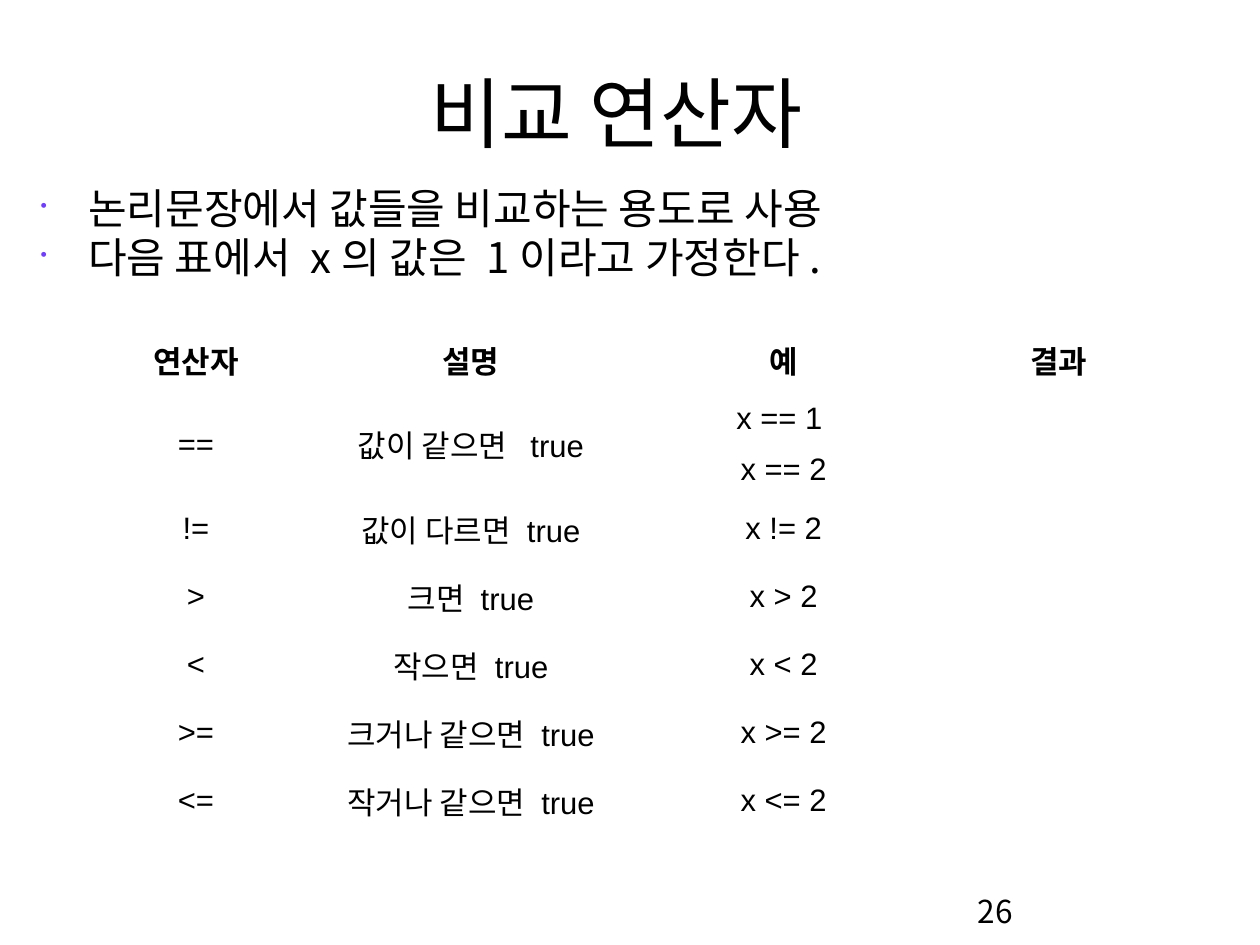
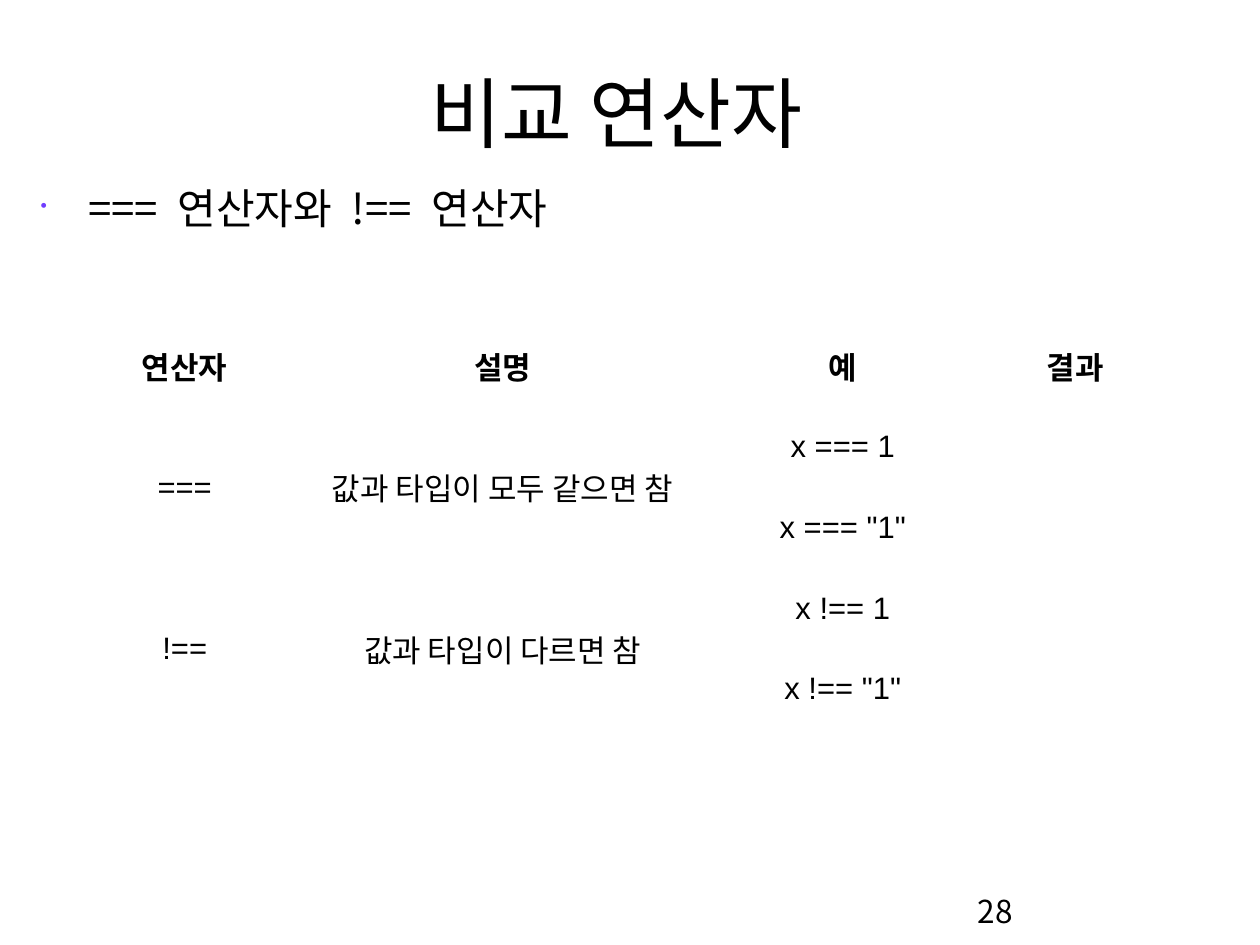
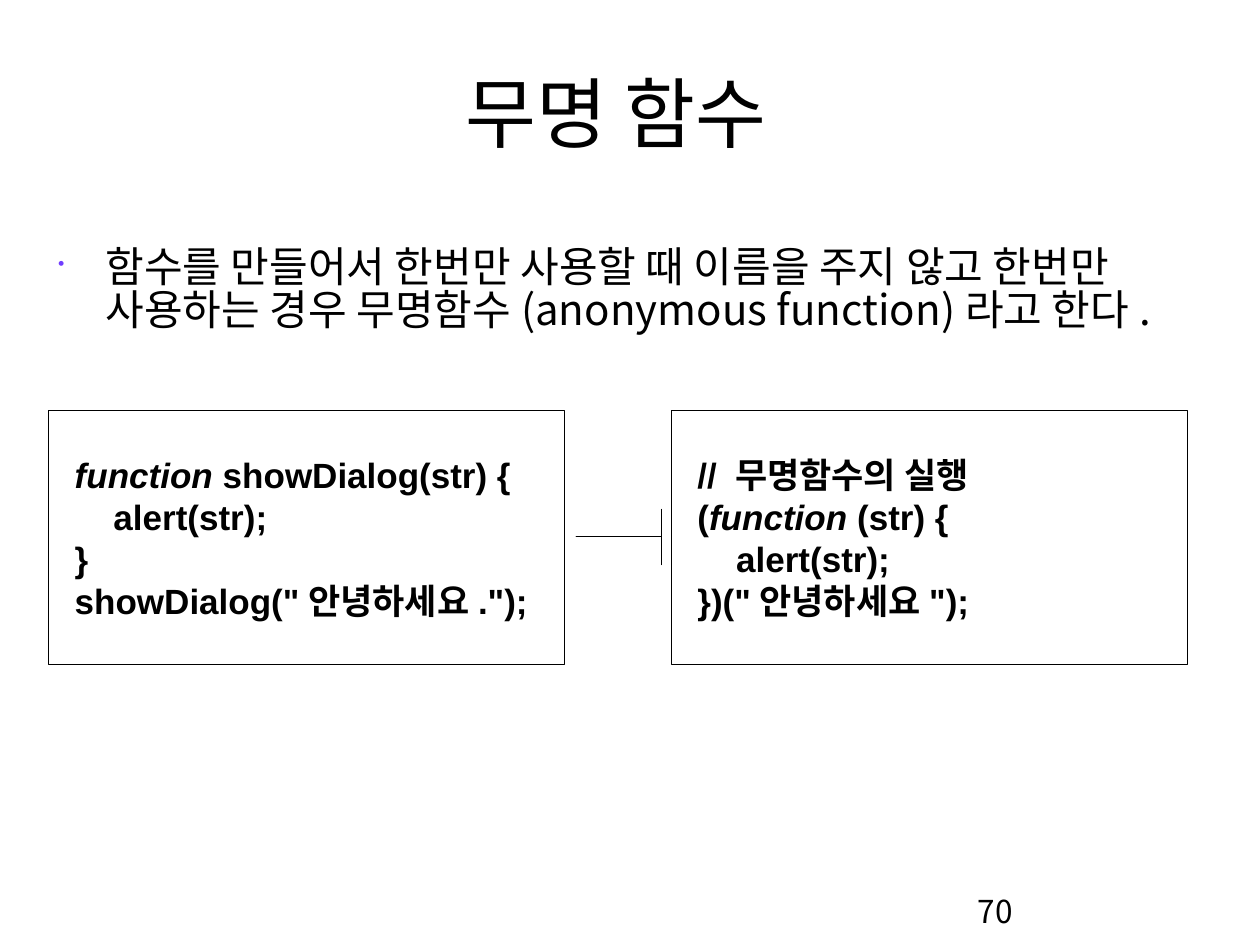
"""Build three slides on comparison operators and anonymous functions."""
from lxml import etree
from pptx import Presentation
from pptx.dml.color import RGBColor
from pptx.enum.shapes import MSO_SHAPE
from pptx.enum.text import MSO_ANCHOR, PP_ALIGN
from pptx.oxml.ns import qn
from pptx.util import Inches, Pt

RECT, ARROW = MSO_SHAPE.RECTANGLE, MSO_SHAPE.RIGHT_ARROW
TOP, MID = MSO_ANCHOR.TOP, MSO_ANCHOR.MIDDLE
LEFT, CENTER = PP_ALIGN.LEFT, PP_ALIGN.CENTER
SANS, LATIN = "Noto Sans CJK KR", "Arial"
BLACK, WHITE, VIOLET, YELLOW = "000000", "FFFFFF", "703DFF", "FFEF66"
ink = RGBColor.from_string

deck = Presentation()
deck.slide_width, deck.slide_height = Inches(12.99), Inches(9.74)


def area(x, y, w, h):
    """Turn percent shares of the slide into left, top, width and height."""
    wide, high = deck.slide_width, deck.slide_height
    return [int(size * part / 100) for size, part in zip((wide, high) * 2, (x, y, w, h))]


def write(frame, lines, size, font=SANS, bold=False, align=LEFT, anchor=TOP,
          pads=(0.1, 0.05), lead=None, gap=0, indent=0, bullet=False, lean=None):
    """Fill a text frame with one paragraph per line."""
    frame.word_wrap, frame.vertical_anchor = True, anchor
    frame.margin_left = frame.margin_right = Inches(pads[0])
    frame.margin_top = frame.margin_bottom = Inches(pads[1])
    for i, line in enumerate(lines):
        para = frame.add_paragraph() if i else frame.paragraphs[0]
        para.alignment, para.line_spacing = align, lead
        para.space_before = Pt(gap if i else 0)
        props = para._p.get_or_add_pPr()
        props.set("marL", str(Inches(indent)))
        if bullet:
            props.set("indent", str(-Inches(indent)))
            tint = etree.SubElement(props, qn("a:buClr"))
            etree.SubElement(tint, qn("a:srgbClr"), val=VIOLET)
            etree.SubElement(props, qn("a:buSzPct"), val="45000")
            etree.SubElement(props, qn("a:buChar"), char="•")
        for part in line.partition(lean) if lean else [line]:
            if part:
                run = para.add_run()
                run.text = part
                run.font.size, run.font.name = Pt(size), font
                run.font.bold, run.font.italic = bold, part == lean
                run.font.color.rgb = ink(BLACK)
                etree.SubElement(run.font._element, qn("a:ea"), typeface=SANS)


HEAD = ("연산자", "설명", "예", "결과")
pages = [
    dict(title="비교 연산자", num="26", at=(2.46, 19.4),
         points=["논리문장에서 값들을 비교하는 용도로 사용",
                 "다음 표에서 x의 값은 1이라고 가정한다."],
         cols=(17.4, 26.25, 23.4, 20.25), rows=(7.19, 5.34, 5.34) + (7.19,) * 5,
         cells=[HEAD,
                ("==", "값이 같으면  true", "x == 1 "),
                ("", "", "x == 2"),
                ("!=", "값이 다르면 true", "x != 2"),
                (">", "크면 true", "x > 2"),
                ("<", "작으면 true", "x < 2"),
                (">=", "크거나 같으면 true", "x >= 2"),
                ("<=", "작거나 같으면 true", "x <= 2")]),
    dict(title="비교 연산자", num="28", at=(2.46, 19.4),
         points=["=== 연산자와 !== 연산자"],
         cols=(15.63, 34.87, 19.09, 17.78), rows=(8.54,) * 5,
         cells=[HEAD,
                ("===", "값과 타입이 모두 같으면 참", "x === 1"),
                ("", "", 'x === "1"'),
                ("!==", "값과 타입이 다르면 참", "x !== 1"),
                ("", "", 'x !== "1"')]),
    dict(title="무명 함수", num="70", at=(3.85, 25.56),
         points=["함수를 만들어서 한번만 사용할 때 이름을 주지 않고 한번만 "
                 "사용하는 경우 무명함수(anonymous function)라고 한다."],
         codes=[["function showDialog(str) {", "    alert(str);", "}",
                 'showDialog("안녕하세요.");'],
                ["// 무명함수의 실행", "(function (str) {", "    alert(str);",
                 '})("안녕하세요");']]),
]

for page in pages:
    slide = deck.slides.add_slide(deck.slide_layouts[5])
    shapes = slide.shapes
    title = shapes.title
    title.left, title.top, title.width, title.height = area(8.08, 6.26, 81.68, 11.09)
    write(title.text_frame, [page["title"]], 57.2, align=CENTER, anchor=MID)
    body = shapes.add_textbox(*area(*page["at"], 94.84, 72.49))
    write(body.text_frame, page["points"], 31.2, pads=(0.1, 0.07), lead=0.85,
          gap=5, indent=0.49, bullet=True)

    if "cells" in page:
        cols, rows = page["cols"], page["rows"]
        spot = area(6.85, 34.5, sum(cols), sum(rows))
        grid = shapes.add_table(len(rows), len(cols), *spot).table
        grid.horz_banding = False
        for col, share in zip(grid.columns, cols):
            col.width = area(0, 0, share, 0)[2]
        for row, share in zip(grid.rows, rows):
            row.height = area(0, 0, 0, share)[3]
        for cell in grid.iter_cells():
            cell.fill.background()
        for r, texts in enumerate(page["cells"]):
            for c, text in enumerate(texts):
                cell = grid.cell(r, c)
                if text:
                    write(cell.text_frame, [text], 23, font=LATIN, bold=r == 0, align=CENTER)
                    cell.vertical_anchor = MID
                    cell.margin_left = cell.margin_right = Inches(0.13)
                else:
                    grid.cell(r - 1, c).merge(cell)

    if "codes" in page:
        for i, code in enumerate(page["codes"]):
            box = shapes.add_shape(RECT, *area(3.85 + i * 49.42, 43.43, 40.95, 26.9))
            box.shadow.inherit = False
            box.fill.solid()
            box.fill.fore_color.rgb = ink(WHITE)
            box.line.color.rgb, box.line.width = ink(BLACK), Pt(0)
            write(box.text_frame, code, 26, font=LATIN, bold=True, anchor=MID,
                  pads=(0.13, 0.06), lead=Pt(31), indent=0.14, lean="function")
        arrow = shapes.add_shape(ARROW, *area(45.73, 53.9, 6.77, 5.85))
        arrow.shadow.inherit = False
        arrow.adjustments[0] = arrow.adjustments[1] = 0
        arrow.fill.solid()
        arrow.fill.fore_color.rgb = ink(YELLOW)
        arrow.line.color.rgb, arrow.line.width = ink(BLACK), Pt(0.75)

    foot = shapes.add_textbox(*area(76.83, 93.94, 20.63, 6.16))
    write(foot.text_frame, [page["num"]], 23.4)

deck.save("out.pptx")
